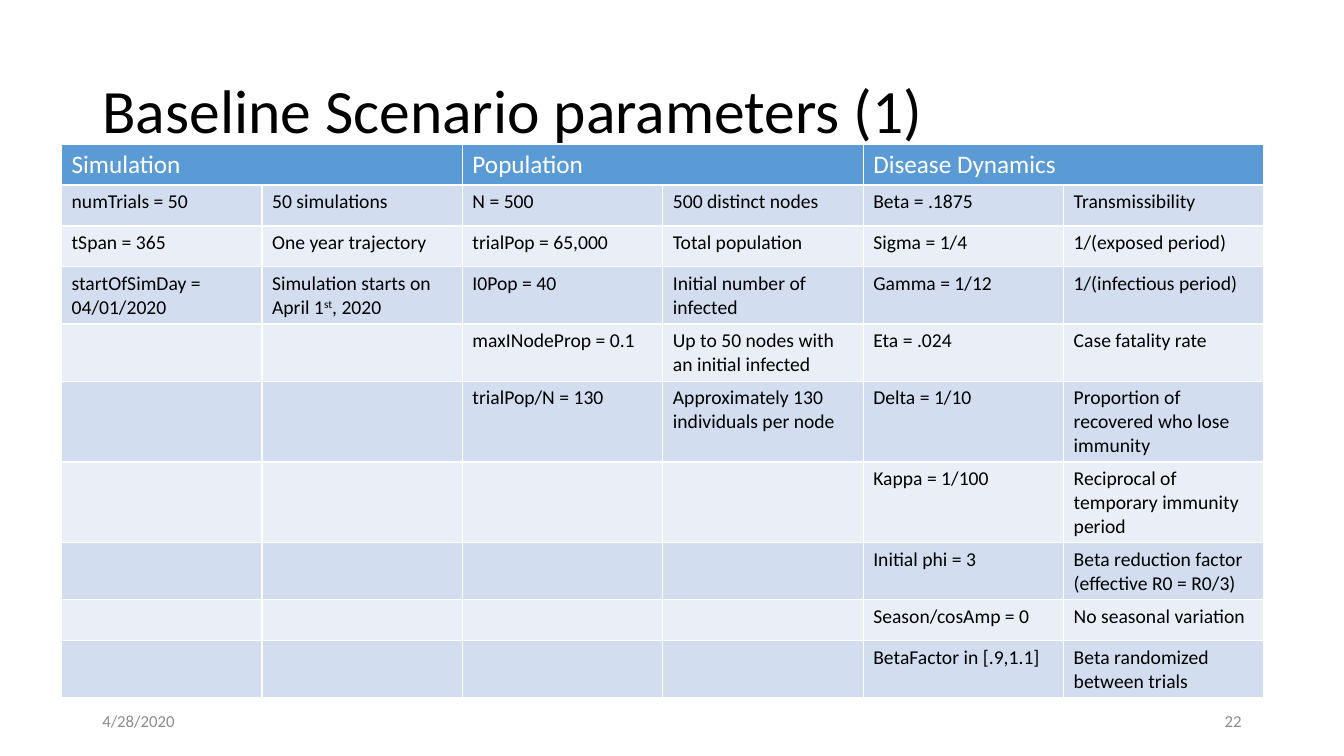
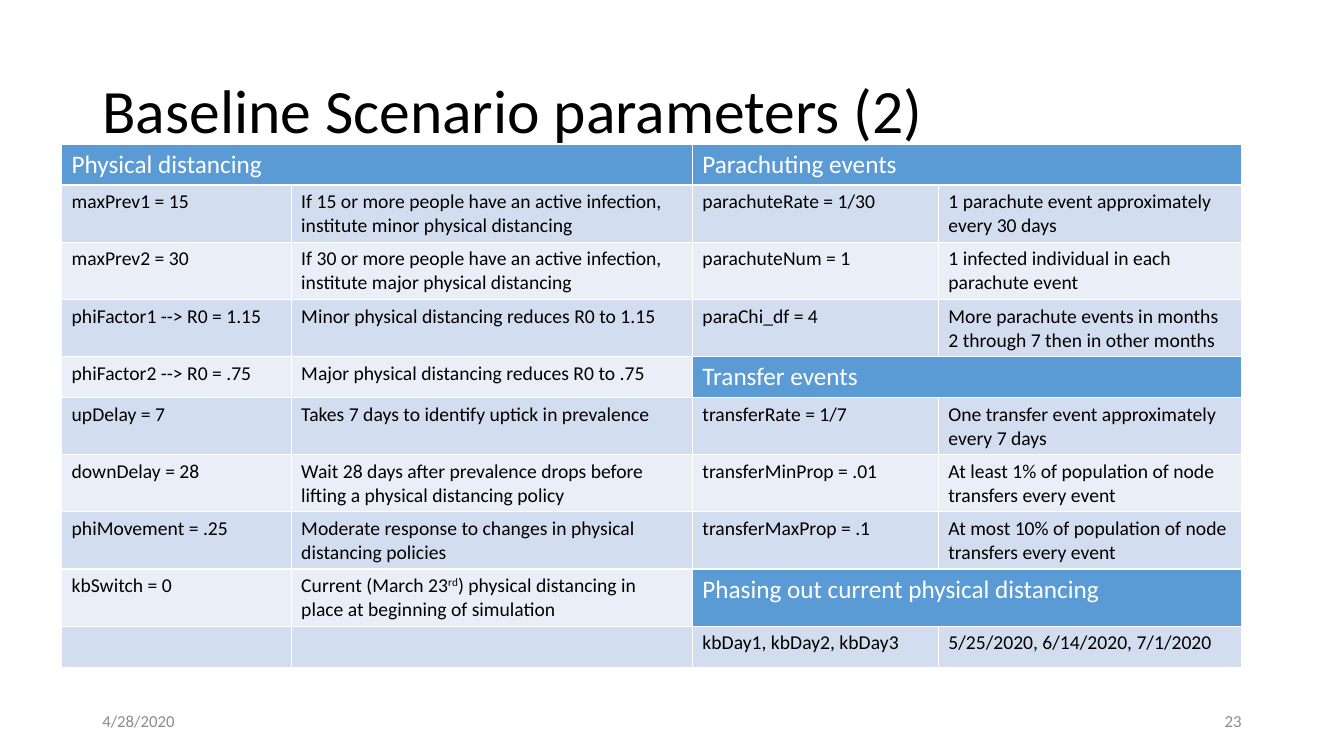
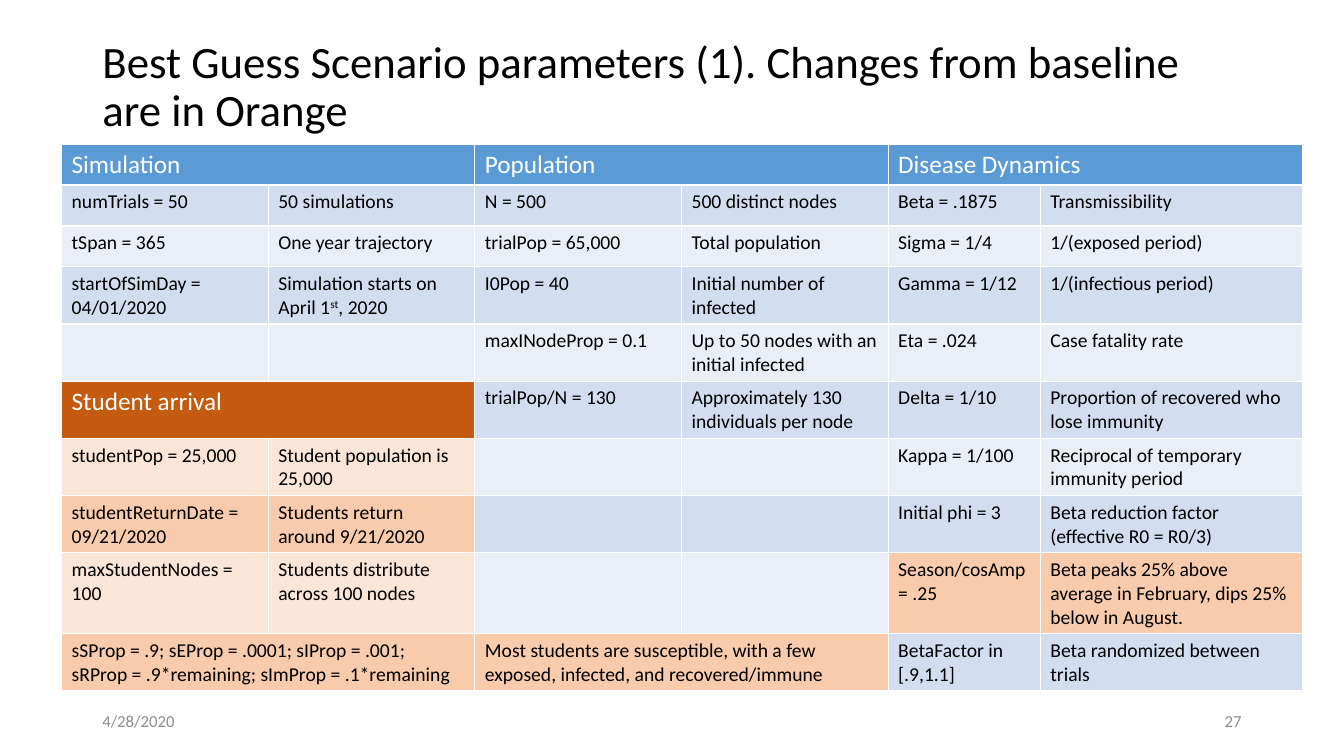
from dataclasses import dataclass
from itertools import zip_longest
from typing import Optional

from pptx import Presentation
from pptx import util as u
from pptx.dml import color
from pptx.enum import text


@dataclass(frozen=True)
class Theme:
    """Colours, type sizes and font shared by all slides."""

    font: str = "Calibri"
    ink: str = "000000"
    white: str = "FFFFFF"
    muted: str = "8C8C8C"
    blue: str = "5B9BD5"
    rust: str = "C55A11"
    bands: tuple = ("EAEFF7", "D2DEEF")
    peach: str = "F8CBAD"
    pale_peach: str = "FBE5D6"
    title: float = 44
    long_title: float = 32
    heading: float = 18
    body: float = 14
    footer: float = 12


THEME = Theme()


@dataclass(frozen=True)
class Entry:
    """A parameter and its meaning; without a meaning it spans both columns."""

    name: str = ""
    meaning: Optional[str] = None
    tone: Optional[str] = None
    heading: bool = False


def heading(label, tone=THEME.blue):
    """Return a coloured heading entry."""
    return Entry(label, tone=tone, heading=True)


def entries(*pairs):
    """Return banded entries from pairs of name and meaning."""
    return [Entry(*pair) for pair in pairs]


class SlideMaker:
    """Holds the theme, the deck and the current slide."""

    def __init__(self, theme):
        """Start a wide deck."""
        self.theme = theme
        self.deck = Presentation()
        self.deck.slide_width, self.deck.slide_height = u.Pt(960), u.Pt(540)
        self.page = None

    def add_runs(self, para, content, size, ink):
        """Add runs to a paragraph; text between carets is raised."""
        for index, part in enumerate(content.split("^")):
            if not part:
                continue
            span = para.add_run()
            span.text = part
            span.font.name = self.theme.font
            span.font.size = u.Pt(size)
            span.font.bold = False
            span.font.color.rgb = color.RGBColor.from_string(ink)
            if index % 2:
                span.font._element.set("baseline", "30000")

    def start(self, title, number, size=THEME.title, top=28.75):
        """Open a slide with its title, date and number."""
        self.page = self.deck.slides.add_slide(self.deck.slide_layouts[5])
        box = self.page.shapes.title
        box.left, box.top = u.Pt(66), u.Pt(top)
        box.width, box.height = u.Pt(828), u.Pt(104.4)
        frame = box.text_frame
        frame.auto_size = text.MSO_AUTO_SIZE.NONE
        frame.vertical_anchor = text.MSO_ANCHOR.MIDDLE
        para = frame.paragraphs[0]
        para.alignment = text.PP_ALIGN.LEFT
        para.line_spacing = 0.9
        self.add_runs(para, title, size, self.theme.ink)
        self.footer("4/28/2020", 66, text.PP_ALIGN.LEFT)
        self.footer(str(number), 678, text.PP_ALIGN.RIGHT)

    def footer(self, content, left, alignment):
        """Add one footer text."""
        box = self.page.shapes.add_textbox(u.Pt(left), u.Pt(500.5), u.Pt(216), u.Pt(28.75))
        frame = box.text_frame
        frame.word_wrap = True
        frame.vertical_anchor = text.MSO_ANCHOR.MIDDLE
        para = frame.paragraphs[0]
        para.alignment = alignment
        self.add_runs(para, content, self.theme.footer, self.theme.muted)

    def table(self, widths, *groups):
        """Add a table whose column pairs are the given groups."""
        rows = list(zip_longest(*groups, fillvalue=Entry(meaning="")))
        row_height = 29.2
        grid = self.page.shapes.add_table(
            len(rows), len(widths), u.Pt(44), u.Pt(103),
            u.Pt(sum(widths)), u.Pt(row_height * len(rows))).table
        for column, width in zip(grid.columns, widths):
            column.width = u.Pt(width)
        for row, line in enumerate(rows):
            grid.rows[row].height = u.Pt(row_height)
            for group, entry in enumerate(line):
                self.entry(grid, row, 2 * group, entry)

    def entry(self, grid, row, column, entry):
        """Fill the two cells of an entry."""
        theme = self.theme
        cells = [grid.cell(row, column), grid.cell(row, column + 1)]
        if entry.meaning is None:
            cells[0].merge(cells[1])
        size, ink = (theme.heading, theme.white) if entry.heading else (theme.body, theme.ink)
        for cell, content in zip(cells, (entry.name, entry.meaning or "")):
            cell.fill.solid()
            cell.fill.fore_color.rgb = color.RGBColor.from_string(
                entry.tone or theme.bands[row % 2])
            self.add_runs(cell.text_frame.paragraphs[0], content, size, ink)


SIMULATION = [heading("Simulation")] + entries(
    ("numTrials = 50", "50 simulations"),
    ("tSpan = 365", "One year trajectory"),
    ("startOfSimDay = 04/01/2020", "Simulation starts on April 1^st^, 2020"),
)
POPULATION = [heading("Population")] + entries(
    ("N = 500", "500 distinct nodes"),
    ("trialPop = 65,000", "Total population"),
    ("I0Pop = 40", "Initial number of infected"),
    ("maxINodeProp = 0.1", "Up to 50 nodes with an initial infected"),
    ("trialPop/N = 130", "Approximately 130 individuals per node"),
)
DISEASE = [heading("Disease Dynamics")] + entries(
    ("Beta = .1875", "Transmissibility"),
    ("Sigma = 1/4", "1/(exposed period)"),
    ("Gamma = 1/12", "1/(infectious period)"),
    ("Eta = .024", "Case fatality rate"),
    ("Delta = 1/10", "Proportion of recovered who lose immunity"),
    ("Kappa = 1/100", "Reciprocal of temporary immunity period"),
    ("Initial phi = 3", "Beta reduction factor (effective R0 = R0/3)"),
)
NO_SEASON = Entry("Season/cosAmp = 0", "No seasonal variation")
SEASON = Entry(
    "Season/cosAmp = .25",
    "Beta peaks 25% above average in February, dips 25% below in August.",
    THEME.peach)
BETA_FACTOR = Entry("BetaFactor in [.9,1.1]", "Beta randomized between trials")

DISTANCING = [heading("Physical distancing")] + entries(
    ("maxPrev1 = 15",
     "If 15 or more people have an active infection, institute minor physical distancing"),
    ("maxPrev2 = 30",
     "If 30 or more people have an active infection, institute major physical distancing"),
    ("phiFactor1 --> R0 = 1.15", "Minor physical distancing reduces R0 to 1.15"),
    ("phiFactor2 --> R0 = .75", "Major physical distancing reduces R0 to .75"),
    ("upDelay = 7", "Takes 7 days to identify uptick in prevalence"),
    ("downDelay = 28",
     "Wait 28 days after prevalence drops before lifting a physical distancing policy"),
    ("phiMovement = .25", "Moderate response to changes in physical distancing policies"),
    ("kbSwitch = 0",
     "Current (March 23^rd^) physical distancing in place at beginning of simulation"),
)
EVENTS = [
    heading("Parachuting events"),
    *entries(
        ("parachuteRate = 1/30", "1 parachute event approximately every 30 days"),
        ("parachuteNum = 1", "1 infected individual in each parachute event"),
        ("paraChi_df = 4", "More parachute events in months 2 through 7 then in other months")),
    heading("Transfer events"),
    *entries(
        ("transferRate = 1/7", "One transfer event approximately every 7 days"),
        ("transferMinProp = .01", "At least 1% of population of node transfers every event"),
        ("transferMaxProp = .1", "At most 10% of population of node transfers every event")),
    heading("Phasing out current physical distancing"),
    Entry("kbDay1, kbDay2, kbDay3", "5/25/2020, 6/14/2020, 7/1/2020"),
]
BLANK = Entry(meaning="")
STUDENTS = [
    heading("Student arrival", THEME.rust),
    Entry("studentPop = 25,000", "Student population is 25,000", THEME.pale_peach),
    Entry("studentReturnDate = 09/21/2020", "Students return around 9/21/2020", THEME.peach),
    Entry("maxStudentNodes = 100", "Students distribute across 100 nodes", THEME.pale_peach),
    Entry("sSProp = .9; sEProp = .0001; sIProp = .001; "
          "sRProp = .9*remaining; sImProp = .1*remaining", tone=THEME.peach),
]
SUSCEPTIBLE = Entry(
    "Most students are susceptible, with a few exposed, infected, and recovered/immune",
    tone=THEME.peach)


def main():
    """Build and save the deck."""
    maker = SlideMaker(THEME)

    maker.start("Baseline Scenario parameters (1)", 22)
    maker.table([143.15] * 6, SIMULATION, POPULATION, DISEASE + [NO_SEASON, BETA_FACTOR])

    maker.start("Baseline Scenario parameters (2)", 23)
    maker.table([164, 286.6, 175.7, 216.7], DISTANCING, EVENTS)

    maker.start("Best Guess Scenario parameters (1). Changes from baseline are in Orange",
                27, THEME.long_title, 10.8)
    maker.table([147.6] * 4 + [108.7, 187.2],
                SIMULATION + [BLANK] + STUDENTS,
                POPULATION + [BLANK] * 3 + [SUSCEPTIBLE],
                DISEASE + [SEASON, BETA_FACTOR])

    maker.deck.save("out.pptx")


if __name__ == "__main__":
    main()
